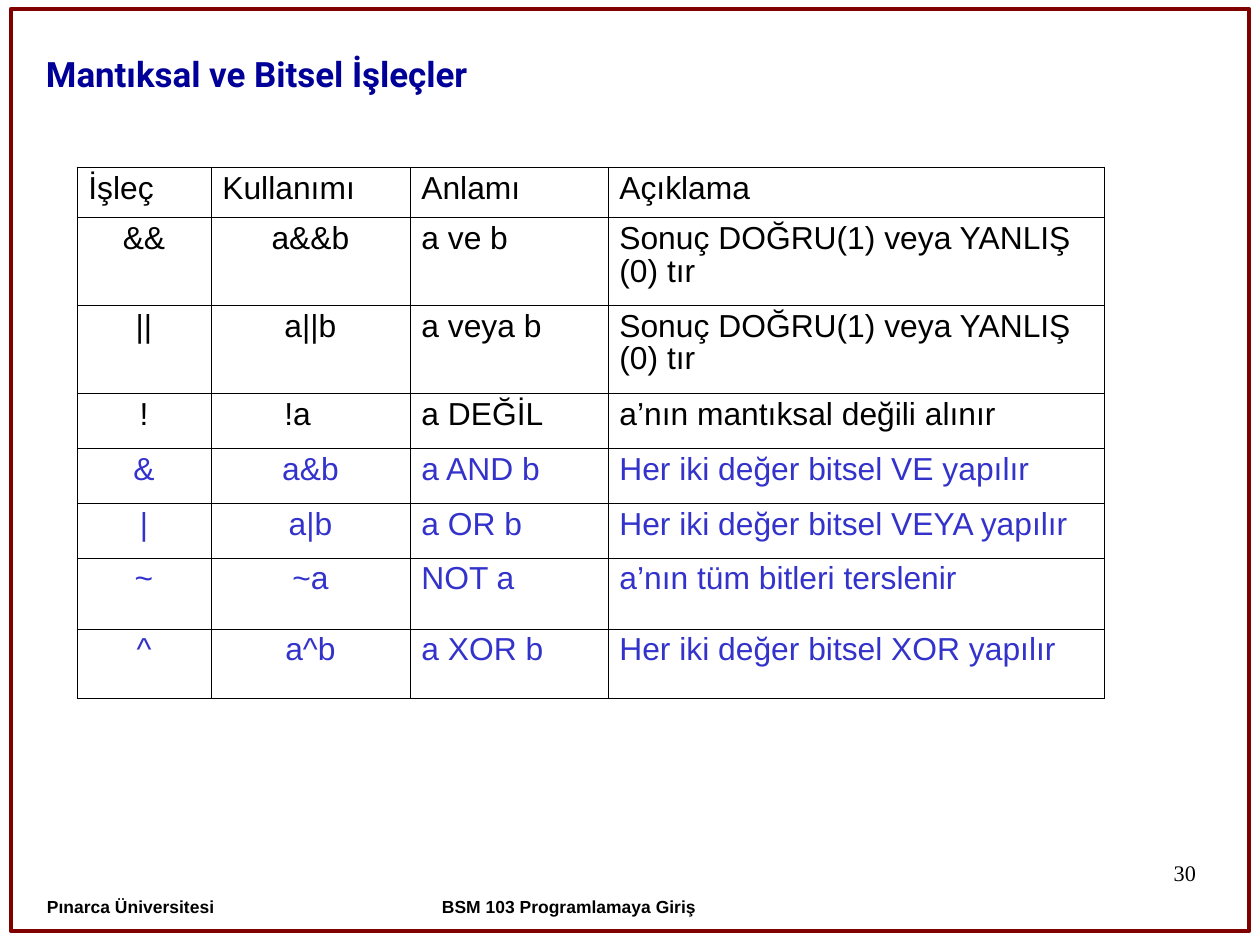
from lxml.etree import SubElement
from pptx import Presentation
from pptx.dml.color import RGBColor
from pptx.enum.shapes import MSO_SHAPE
from pptx.enum.text import MSO_ANCHOR, MSO_AUTO_SIZE, PP_ALIGN
from pptx.oxml.ns import qn
from pptx.util import Pt

PX = 8000
BLACK, BLUE, NAVY, MAROON = "000000", "3333CC", "000099", "800000"
THIN, MEDIUM = 0.23, 0.5
COLUMNS = [134, 199, 198, 496]
ROW_HEIGHTS = [50, 88, 88, 55, 55, 55, 71, 70]
OPERATORS = [
    ("İşleç", "Kullanımı", "Anlamı", "Açıklama"),
    ("&&", "a&&b", "a ve b", "Sonuç DOĞRU(1) veya YANLIŞ (0) tır"),
    ("||", "a||b", "a veya b", "Sonuç DOĞRU(1) veya YANLIŞ (0) tır"),
    ("!", "!a", "a DEĞİL", "a’nın mantıksal değili alınır"),
    ("&", "a&b", "a AND b", "Her iki değer bitsel VE yapılır"),
    ("|", "a|b", "a OR b", "Her iki değer bitsel VEYA yapılır"),
    ("~", "~a", "NOT a", "a’nın tüm bitleri terslenir"),
    ("^", "a^b", "a XOR b", "Her iki değer bitsel XOR yapılır"),
]
FIRST_BITWISE = 4
LAST = len(OPERATORS) - 1


def color(value):
    return RGBColor.from_string(value)


class SlideBuilder:
    """Draws styled elements on one slide, with lengths in px."""

    def __init__(self, page):
        self.page = page
        self.font = "Arial"

    def style(self, para, size, ink=BLACK, bold=False, font=None,
              align=PP_ALIGN.LEFT, spacing=0.93):
        para.alignment = align
        para.line_spacing = spacing
        for span in para.runs:
            span.font.name = font or self.font
            span.font.size = Pt(size)
            span.font.bold = bold
            span.font.color.rgb = color(ink)

    def frame(self, *place):
        border = self.page.shapes.add_shape(
            MSO_SHAPE.ROUNDED_RECTANGLE, *(PX * length for length in place))
        border.adjustments[0] = 0
        border.shadow.inherit = False
        border.fill.background()
        border.line.color.rgb = color(MAROON)
        border.line.width = Pt(2.83)

    def text(self, words, place, insets, size, anchor=MSO_ANCHOR.TOP,
             fit=MSO_AUTO_SIZE.NONE, **look):
        box = self.page.shapes.add_textbox(*(PX * length for length in place))
        frame = box.text_frame
        frame.word_wrap = True
        frame.auto_size = fit
        frame.vertical_anchor = anchor
        (frame.margin_left, frame.margin_top,
         frame.margin_right, frame.margin_bottom) = (PX * inset for inset in insets)
        frame.text = words
        self.style(frame.paragraphs[0], size, **look)

    def footer(self, words, place, align=PP_ALIGN.LEFT):
        self.text(words, place, (25, 21, 25, 19), 11, bold=True, align=align,
                  fit=MSO_AUTO_SIZE.SHAPE_TO_FIT_TEXT)

    def borders(self, cell, widths):
        properties = cell._tc.get_or_add_tcPr()
        for side, width in zip("LRTB", widths):
            line = SubElement(properties, qn(f"a:ln{side}"), w=str(int(Pt(width))))
            fill = SubElement(line, qn("a:solidFill"))
            SubElement(fill, qn("a:srgbClr"), val=BLACK)

    def table(self, left, top):
        grid = self.page.shapes.add_table(
            len(OPERATORS), len(COLUMNS), PX * left, PX * top,
            PX * sum(COLUMNS), PX * sum(ROW_HEIGHTS)).table
        grid.first_row = grid.horz_banding = False
        for column, width in zip(grid.columns, COLUMNS):
            column.width = PX * width
        for row, height in zip(grid.rows, ROW_HEIGHTS):
            row.height = PX * height
        for r, words in enumerate(OPERATORS):
            for c, word in enumerate(words):
                self.cell(grid.cell(r, c), r, c, word)

    def cell(self, cell, r, c, word):
        heavy = (c == 0, c == len(COLUMNS) - 1, r in (0, LAST), r >= LAST - 1)
        self.borders(cell, [MEDIUM if edge else THIN for edge in heavy])
        cell.fill.background()
        cell.text = word
        para = cell.text_frame.paragraphs[0]
        para.space_before = Pt(5)
        indented = word == "!a"
        centered = r > 0 and c < 2 and not indented
        if indented:
            para._p.get_or_add_pPr().set("marL", str(PX * 62))
        self.style(para, 20, BLUE if r >= FIRST_BITWISE else BLACK,
                   align=PP_ALIGN.CENTER if centered else PP_ALIGN.LEFT)


def main():
    deck = Presentation()
    deck.slide_width, deck.slide_height = PX * 1260, PX * 945
    builder = SlideBuilder(deck.slides.add_slide(deck.slide_layouts[6]))
    builder.frame(11, 9, 1238, 922)
    builder.text("30", (903, 861, 293, 65), (0, 0, 0, 0), 14,
                 font="Times New Roman", align=PP_ALIGN.RIGHT, spacing=0.95)
    builder.text("Mantıksal ve Bitsel İşleçler", (35, 31, 914, 69), (11, 6, 11, 6), 22,
                 anchor=MSO_ANCHOR.BOTTOM, ink=NAVY, bold=True, font="Roboto", spacing=1.0)
    builder.footer("Pınarca Üniversitesi", (22, 887, 270, 62))
    builder.footer("BSM 103 Programlamaya Giriş", (355, 887, 428, 58), PP_ALIGN.CENTER)
    builder.table(77, 167)
    deck.save("out.pptx")


if __name__ == "__main__":
    main()
